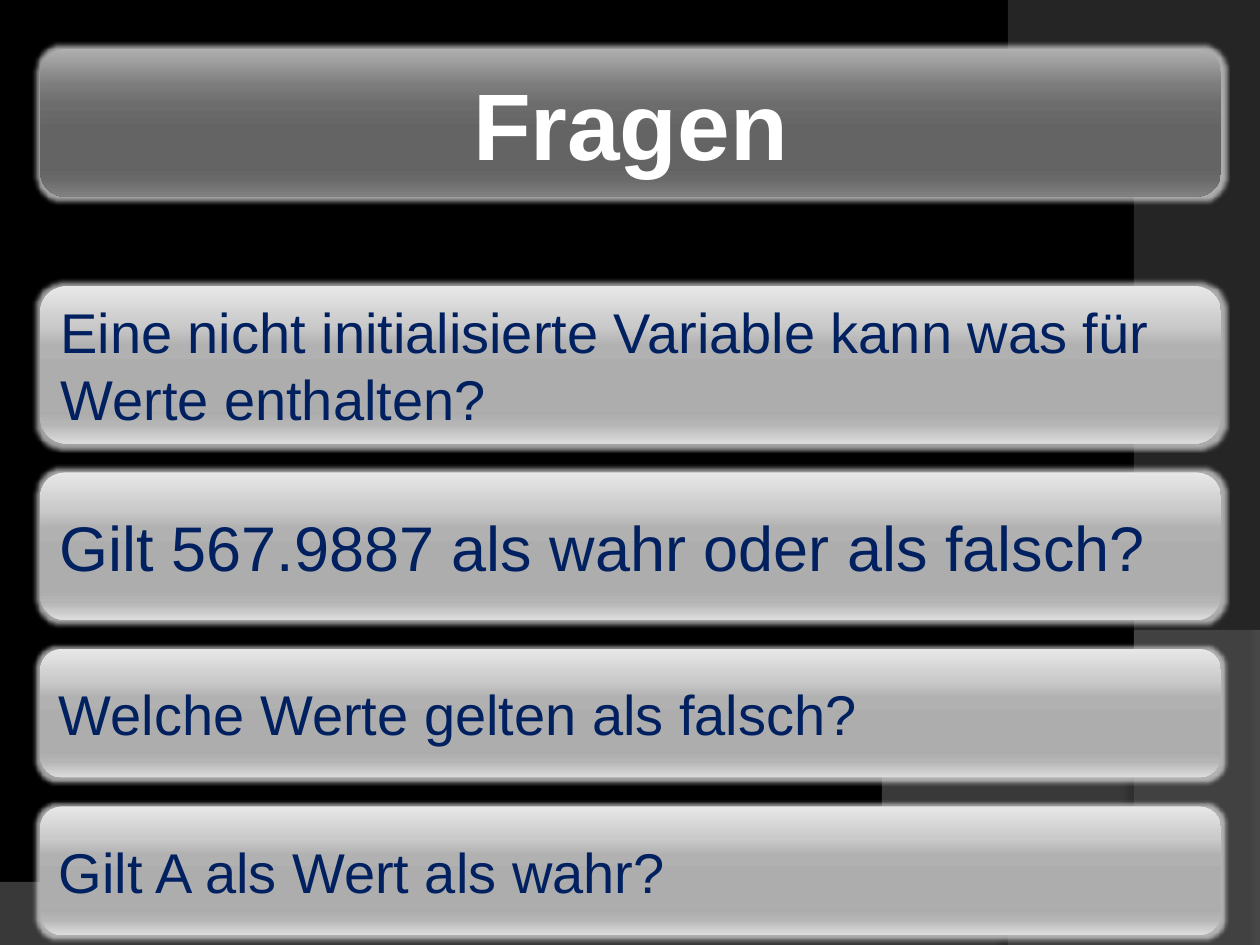
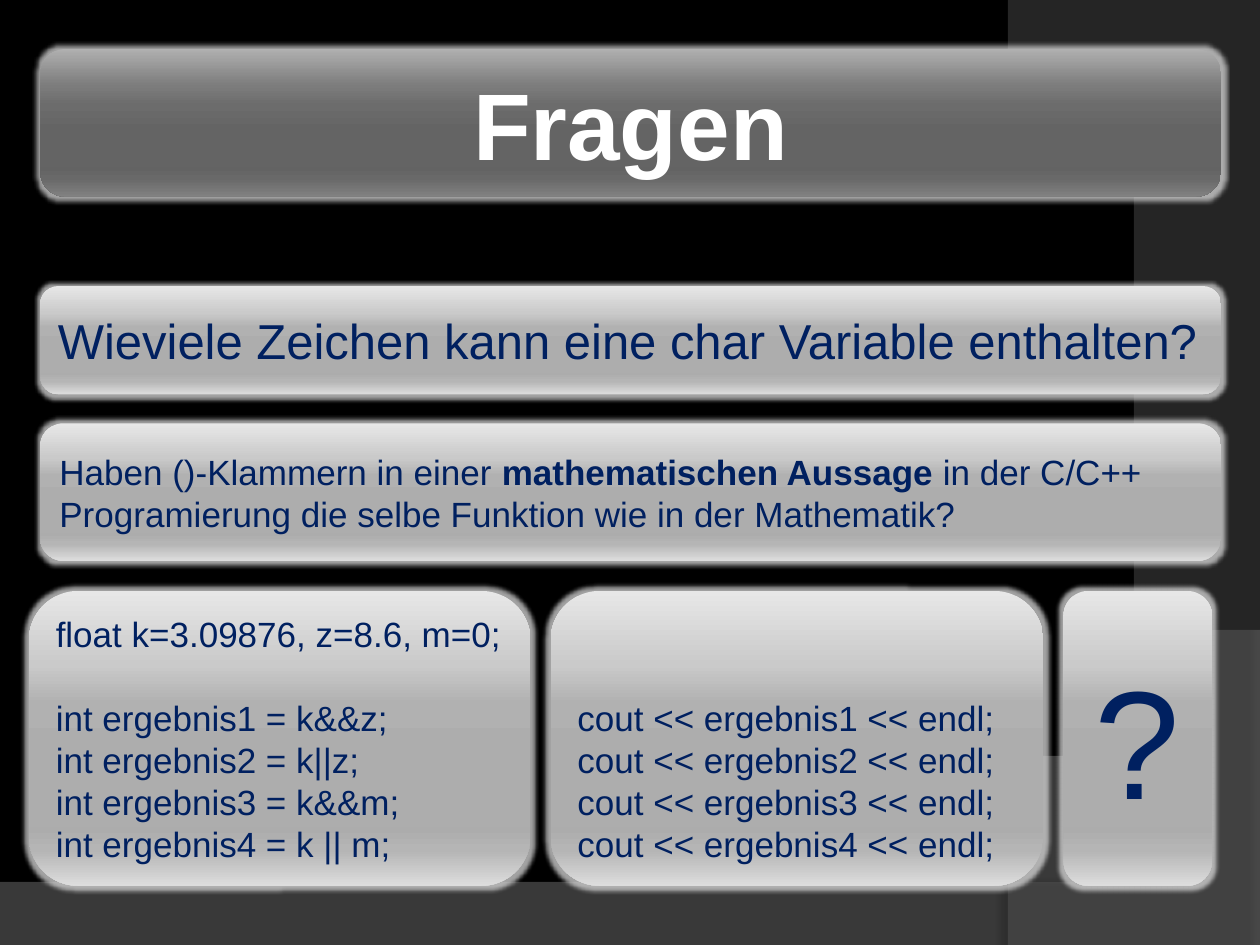
from lxml import etree
from pptx import Presentation
from pptx.dml.color import RGBColor
from pptx.enum.shapes import MSO_SHAPE
from pptx.enum.text import MSO_ANCHOR, PP_ALIGN
from pptx.oxml import parse_xml
from pptx.oxml.ns import qn
from pptx.util import Inches, Pt

ROUND = MSO_SHAPE.ROUNDED_RECTANGLE
MIDDLE = MSO_ANCHOR.MIDDLE
LEFT, CENTER = PP_ALIGN.LEFT, PP_ALIGN.CENTER
NS = 'xmlns:a="http://schemas.openxmlformats.org/drawingml/2006/main"'

COLORS = {"back": "000000", "wave": "7F7F7F", "arc": "5E5E5E",
          "title": "FFFFFF", "text": "002060", "glow": "D9D9D9"}
STOPS = (0, 25, 38, 55, 80, 88, 100)
DARK = ("AFAFAF", "7C7C7C", "6C6C6C", "646464", "636363", "696969", "818181")
LIGHT = ("E7E7E7", "CACACA", "B1B1B1", "ADADAD", "ACACAC", "B5B5B5", "DDDDDD")
EDGE, WIDTH = 0.32, 9.37
TOP = 2.27
LINE = 24  # height in points of one line of 20 pt code


def rgb(name):
    return RGBColor.from_string(COLORS[name])


def color_xml(value, alpha):
    return f'<a:srgbClr val="{value}"><a:alpha val="{alpha * 1000}"/></a:srgbClr>'


def set_effect(shape, inner):
    """Replace the effects of a shape."""
    props = shape._element.spPr
    for old in props.findall(qn("a:effectLst")):
        props.remove(old)
    props.append(parse_xml(f"<a:effectLst {NS}>{inner}</a:effectLst>"))


def shade(shape, tones):
    """Vertical gradient through all tones."""
    shape.fill.gradient()
    shape.fill.gradient_angle = 270
    stops = shape._element.spPr.find(qn("a:gradFill")).find(qn("a:gsLst"))
    for old in list(stops):
        stops.remove(old)
    for pos, tone in zip(STOPS, tones):
        stop = etree.SubElement(stops, qn("a:gs"), pos=str(pos * 1000))
        etree.SubElement(stop, qn("a:srgbClr"), val=tone)


def curve(p0, p1, p2, p3, steps=60):
    """Points of a cubic curve, without its start."""
    for i in range(1, steps + 1):
        t = i / steps
        u = 1 - t
        yield tuple(u**3 * a + 3 * u * u * t * b + 3 * u * t * t * c + t**3 * d
                    for a, b, c, d in zip(p0, p1, p2, p3))


def add_sweep(slide, points, bend, color, alpha, shadow):
    """Translucent outline: straight points, then a curve from the last one."""
    dim, dist, angle = shadow
    path = points[1:] + list(curve(points[-1], *bend))
    build = slide.shapes.build_freeform(*points[0], scale=Inches(1))
    build.add_line_segments(path, close=True)
    shape = build.convert_to_shape()
    shape.fill.solid()
    shape.fill.fore_color.rgb = rgb(color)
    fill = shape._element.spPr.find(qn("a:solidFill"))
    etree.SubElement(fill[0], qn("a:alpha"), val=str(alpha * 1000))
    shape.line.fill.background()
    set_effect(shape, f'<a:outerShdw blurRad="{Pt(4)}" dist="{Pt(dist)}" '
                      f'dir="{angle * 60000}" algn="ctr" rotWithShape="0">'
                      f'{color_xml(COLORS["back"], dim)}</a:outerShdw>')


def add_back(slide):
    add_sweep(slide, [(0, 7.05), (0, 7.5), (10, 7.5), (10, 5.2)],
              [(5.59, 7.29), (3.91, 7.19), (0, 7.05)],
              "wave", 45, (35, 3.5, 270))
    add_sweep(slide, [(10, 0.02), (10, 7.5), (8.21, 7.5)],
              [(9.35, 6.19), (10.18, 3), (8, 0)],
              "arc", 40, (45, 4, 180))


def add_panel(slide, box, paras, size, color="text", tones=LIGHT,
              align=LEFT, bold=False, skip=0):
    """Glowing panel; paras are lists of (text, bold) or plain strings.

    skip keeps that many lines free above the text.
    """
    shape = slide.shapes.add_shape(ROUND, *map(Inches, box))
    shade(shape, tones)
    shape.line.fill.background()
    set_effect(shape, f'<a:glow rad="{Pt(5)}">'
                      f'{color_xml(COLORS["glow"], 75)}</a:glow>')
    frame = shape.text_frame
    frame.word_wrap = True
    frame.vertical_anchor = MIDDLE
    frame.margin_top = Inches(0.05) + Pt(skip * LINE)
    for i, parts in enumerate(paras):
        para = frame.add_paragraph() if i else frame.paragraphs[0]
        para.alignment = align
        for part in [(parts, bold)] if isinstance(parts, str) else parts:
            run = para.add_run()
            run.text, heavy = part
            look = {"name": "Arial", "size": Pt(size), "bold": heavy}
            for key, value in look.items():
                setattr(run.font, key, value)
            run.font.color.rgb = rgb(color)
    return frame


def add_base(prs):
    """Slide with the shared background and title band."""
    slide = prs.slides.add_slide(prs.slide_layouts[6])
    add_back(slide)
    add_panel(slide, (EDGE, 0.39, WIDTH, 1.17), ["Fragen"], 54, "title",
              DARK, CENTER, True)
    return slide


def add_stack(slide, box, gap, rows):
    """Full-width panels below each other; rows are (height, size, parts)."""
    left, top, width = box
    for height, size, parts in rows:
        add_panel(slide, (left, top, width, height), [parts], size)
        top += height + gap


def add_code(slide, box):
    """Declarations, output lines and the question mark, side by side."""
    left, top, height = box
    gap, wide, mid, slim = 0.16, 3.98, 3.91, 1.18
    ids = range(1, 5)
    terms = ("k&&z", "k||z", "k&&m", "k || m")
    lines = [f"int ergebnis{i} = {term};" for i, term in zip(ids, terms)]
    frame = add_panel(slide, (left, top, wide, height),
                      ["float k=3.09876, z=8.6, m=0;"] + lines, 20)
    frame.paragraphs[1].space_before = Pt(LINE)
    left += wide + gap
    prints = [f"cout << ergebnis{i} << endl;" for i in ids]
    add_panel(slide, (left, top, mid, height), prints, 20, skip=2)
    left += mid + gap
    add_panel(slide, (left, top, slim, height), ["?"], 88, align=CENTER)


def main():
    prs = Presentation()
    prs.slide_width, prs.slide_height = Inches(10), Inches(7.5)
    back = prs.slide_master.background.fill
    back.solid()
    back.fore_color.rgb = rgb("back")

    # Questions on values and truth
    add_stack(add_base(prs), (EDGE, TOP, WIDTH), 0.23, [
        (1.25, 32, "Eine nicht initialisierte Variable kann was für Werte enthalten?"),
        (1.17, 36, "Gilt 567.9887 als wahr oder als falsch?"),
        (1.02, 32, "Welche Werte gelten als falsch?"),
        (1.02, 32, "Gilt A als Wert als wahr?"),
    ])

    # Questions on characters, brackets and logic
    slide = add_base(prs)
    add_code(slide, (0.23, 4.69, 2.34))
    add_stack(slide, (EDGE, TOP, WIDTH), 0.23, [
        (0.86, 28, "Wieviele Zeichen kann eine char Variable enthalten?"),
        (1.09, 20, [("Haben ()-Klammern in einer ", False),
                    ("mathematischen Aussage", True),
                    (" in der C/C++ Programierung die selbe Funktion "
                     "wie in der Mathematik?", False)]),
    ])
    prs.save("out.pptx")


if __name__ == "__main__":
    main()
